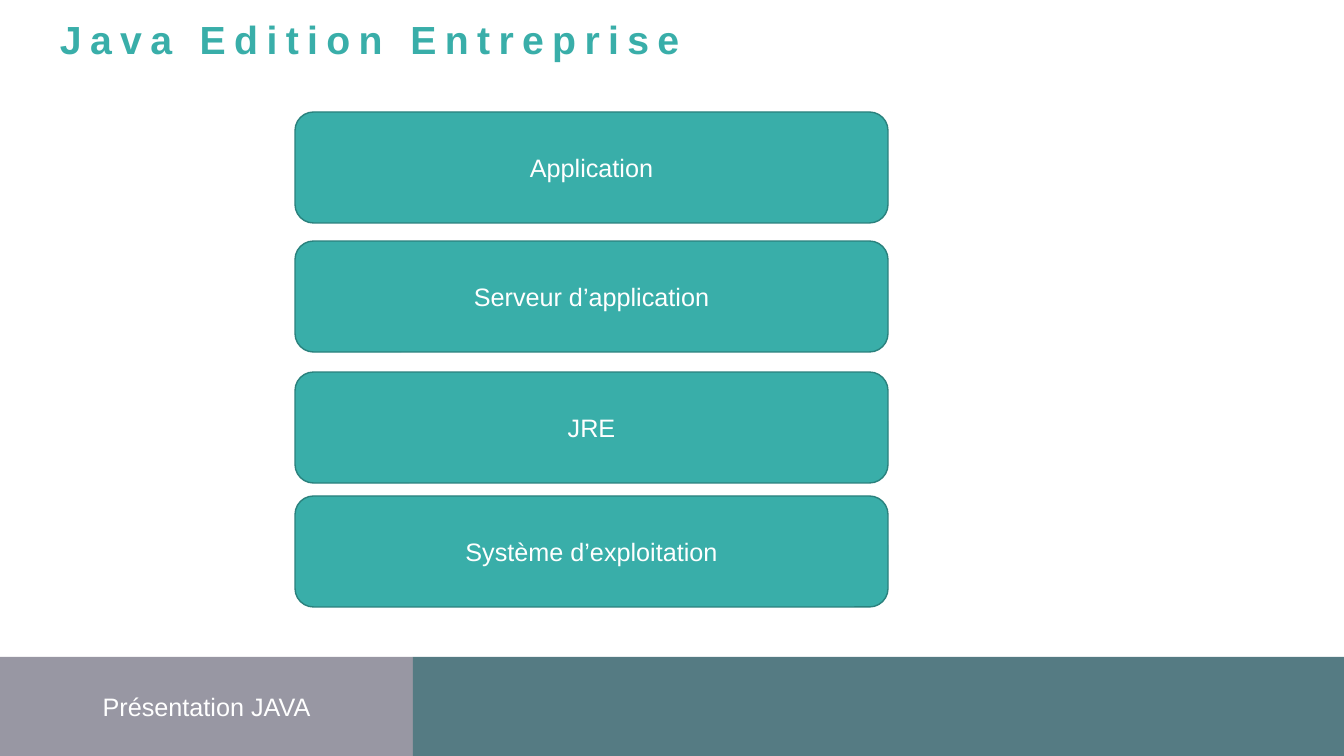
import pptx
import pptx.util
import pptx.dml.color
import pptx.enum.shapes
import pptx.enum.text

PX_PER_INCH = 100.8
COLORS = {
    "teal": "39AEA9",
    "teal_edge": "2A817D",
    "slate": "557B83",
    "grey": "9897A3",
    "white": "FFFFFF",
}
SHAPES = pptx.enum.shapes.MSO_SHAPE


def px(n):
    return pptx.util.Inches(n / PX_PER_INCH)


def add_block(kind, box, fill, edge=None, text=None):
    sp = slide.shapes.add_shape(kind, *[px(n) for n in box])
    sp.shadow.inherit = False
    sp.fill.solid()
    sp.fill.fore_color.rgb = pptx.dml.color.RGBColor.from_string(COLORS[fill])
    if edge:
        sp.line.color.rgb = pptx.dml.color.RGBColor.from_string(COLORS[edge])
        sp.line.width = pptx.util.Pt(1)
    else:
        sp.line.fill.background()
    if text:
        tf = sp.text_frame
        tf.vertical_anchor = pptx.enum.text.MSO_ANCHOR.MIDDLE
        p = tf.paragraphs[0]
        p.alignment = pptx.enum.text.PP_ALIGN.CENTER
        r = p.add_run()
        r.text = text
        r.font.name = "Arial"
        r.font.size = pptx.util.Pt(18)
        r.font.color.rgb = pptx.dml.color.RGBColor.from_string(COLORS["white"])


prs = pptx.Presentation()
prs.slide_width = px(1344)
prs.slide_height = px(756)
slide = prs.slides.add_slide(prs.slide_layouts[6])

title = slide.shapes.add_textbox(px(60), px(27), px(651), px(35))
tf = title.text_frame
tf.word_wrap = True
tf.auto_size = pptx.enum.text.MSO_AUTO_SIZE.SHAPE_TO_FIT_TEXT
tf.margin_left = tf.margin_top = tf.margin_right = tf.margin_bottom = 0
p = tf.paragraphs[0]
p.line_spacing = pptx.util.Pt(25)
r = p.add_run()
r.text = "Java Edition Entreprise"
r.font.name = "Arial"
r.font.size = pptx.util.Pt(28)
r.font.bold = True
r.font.color.rgb = pptx.dml.color.RGBColor.from_string(COLORS["teal"])
r.font._element.set("spc", "600")

add_block(SHAPES.RECTANGLE, (0, 657, 413, 99), "grey", text="Présentation JAVA")
add_block(SHAPES.RECTANGLE, (413, 657, 931, 99), "slate")

layers = [
    ("Système d’exploitation", 496),
    ("JRE", 372),
    ("Serveur d’application", 241),
    ("Application", 112),
]
for name, top in layers:
    add_block(SHAPES.ROUNDED_RECTANGLE, (295, top, 593, 111), "teal", "teal_edge", name)

prs.save("out.pptx")
